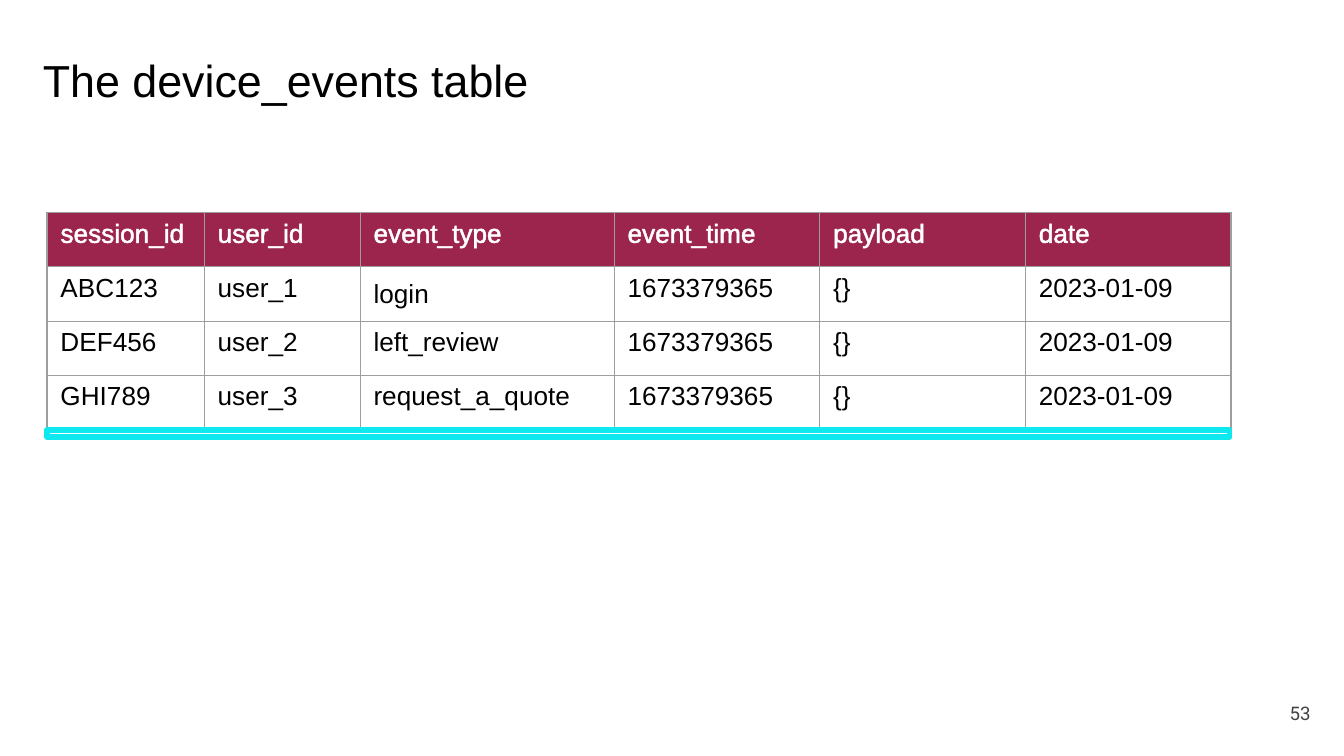
from lxml import etree
from pptx import Presentation
from pptx.dml.color import RGBColor
from pptx.enum.shapes import MSO_SHAPE
from pptx.enum.text import MSO_ANCHOR, MSO_AUTO_SIZE, PP_ALIGN
from pptx.oxml.ns import qn
from pptx.util import Inches, Pt

RECTANGLE = MSO_SHAPE.RECTANGLE
TOP, MIDDLE = MSO_ANCHOR.TOP, MSO_ANCHOR.MIDDLE
LEFT, RIGHT = PP_ALIGN.LEFT, PP_ALIGN.RIGHT
FIT_SHAPE = MSO_AUTO_SIZE.SHAPE_TO_FIT_TEXT

COLORS = {
    "text": "000000",
    "number": "434343",
    "header": "9C254D",
    "header_text": "FFFFFF",
    "border": "9E9E9E",
    "highlight": "0EE9F0",
}

TABLE_LEFT, TABLE_TOP, TABLE_WIDTH, TABLE_HEIGHT = 0.35, 1.58, 8.8, 1.62
COLUMN_WIDTHS = [1.17, 1.16, 1.89, 1.53, 1.53, 1.53]
HEADERS = ["session_id", "user_id", "event_type", "event_time", "payload", "date"]
EVENTS = [
    ("ABC123", "user_1", "login"),
    ("DEF456", "user_2", "left_review"),
    ("GHI789", "user_3", "request_a_quote"),
]
SHARED_VALUES = ("1673379365", "{}", "2023-01-09")


def rgb(name):
    return RGBColor.from_string(COLORS[name])


def style_text(frame, size, color, font="Arial", align=LEFT):
    paragraph = frame.paragraphs[0]
    paragraph.alignment = align
    for span in paragraph.runs:
        span.font.size = Pt(size)
        span.font.name = font
        span.font.color.rgb = rgb(color)


def add_text(page, text, left, top, width, height, size, color, **style):
    box = page.shapes.add_textbox(
        Inches(left), Inches(top), Inches(width), Inches(height))
    box.text_frame.text = text
    style_text(box.text_frame, size, color, **style)
    return box.text_frame


def line_element(tag, color, points):
    line = etree.Element(qn(tag), w=str(Pt(points)))
    fill = etree.SubElement(line, qn("a:solidFill"))
    etree.SubElement(fill, qn("a:srgbClr"), val=COLORS[color])
    return line


def add_borders(cell):
    properties = cell._tc.get_or_add_tcPr()
    for index, side in enumerate(("a:lnL", "a:lnR", "a:lnT", "a:lnB")):
        properties.insert(index, line_element(side, "border", 0.75))


def fill_cell(cell, text, is_header):
    cell.text = text
    cell.vertical_anchor = TOP
    if is_header:
        cell.fill.solid()
        cell.fill.fore_color.rgb = rgb("header")
    else:
        cell.fill.background()
    style_text(cell.text_frame, 14, "header_text" if is_header else "text")
    if is_header:
        # Thin outline that thickens the header letters
        run_properties = cell.text_frame.paragraphs[0].runs[0].font._element
        run_properties.insert(0, line_element("a:ln", "header_text", 0.75))
    add_borders(cell)


def add_event_table(page):
    rows = [HEADERS] + [event + SHARED_VALUES for event in EVENTS]
    table = page.shapes.add_table(
        len(rows), len(HEADERS), Inches(TABLE_LEFT), Inches(TABLE_TOP),
        Inches(TABLE_WIDTH), Inches(TABLE_HEIGHT)).table
    table.first_row = False
    table.horz_banding = False
    for column, width in zip(table.columns, COLUMN_WIDTHS):
        column.width = Inches(width)
    for row_index, values in enumerate(rows):
        for column_index, value in enumerate(values):
            fill_cell(table.cell(row_index, column_index), value, row_index == 0)
    table.cell(1, HEADERS.index("event_type")).vertical_anchor = MIDDLE


def add_highlight(page):
    bar = page.shapes.add_shape(
        RECTANGLE, Inches(TABLE_LEFT), Inches(TABLE_TOP + TABLE_HEIGHT),
        Inches(TABLE_WIDTH), Inches(0.05))
    bar.shadow.inherit = False
    bar.fill.background()
    bar.line.color.rgb = rgb("highlight")
    bar.line.width = Pt(3)
    # Rounded corners on the frame
    etree.SubElement(bar.line._get_or_add_ln(), qn("a:round"))


def main():
    # Widescreen page, 16:9
    deck = Presentation()
    deck.slide_width = Inches(10)
    deck.slide_height = Inches(10 * 9 / 16)
    page = deck.slides.add_slide(deck.slide_layouts[6])

    # Page number
    number = add_text(page, "53", 9.25, 5.09, 0.6, 0.43, 10, "number",
                      font="Roboto", align=RIGHT)
    number.word_wrap = True
    number.vertical_anchor = MIDDLE
    number.margin_top = number.margin_bottom = Inches(0.1)

    # Event table
    add_event_table(page)

    # Title
    title = add_text(page, "The device_events table", 0.22, 0.34, 3.85, 0.5,
                     24, "text")
    title.word_wrap = False
    title.auto_size = FIT_SHAPE

    # Highlight under the last row
    add_highlight(page)

    deck.save("out.pptx")


if __name__ == "__main__":
    main()
